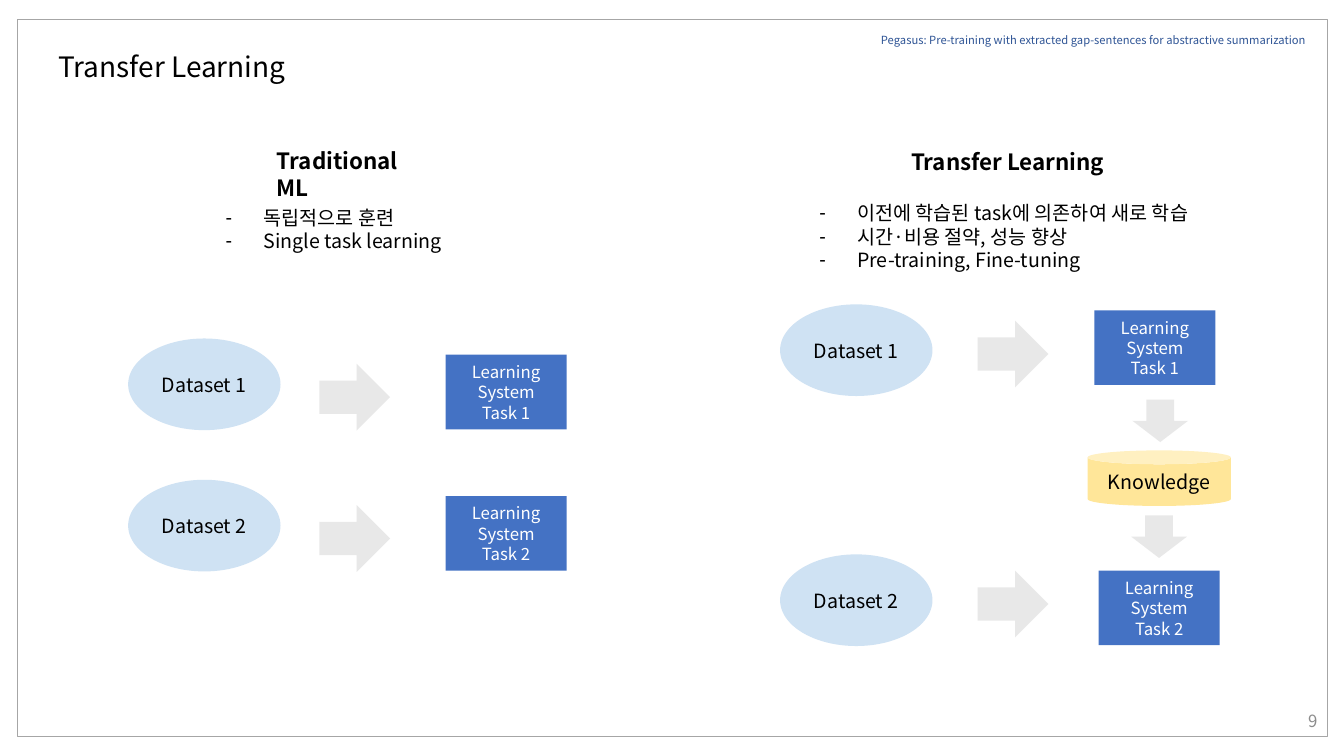
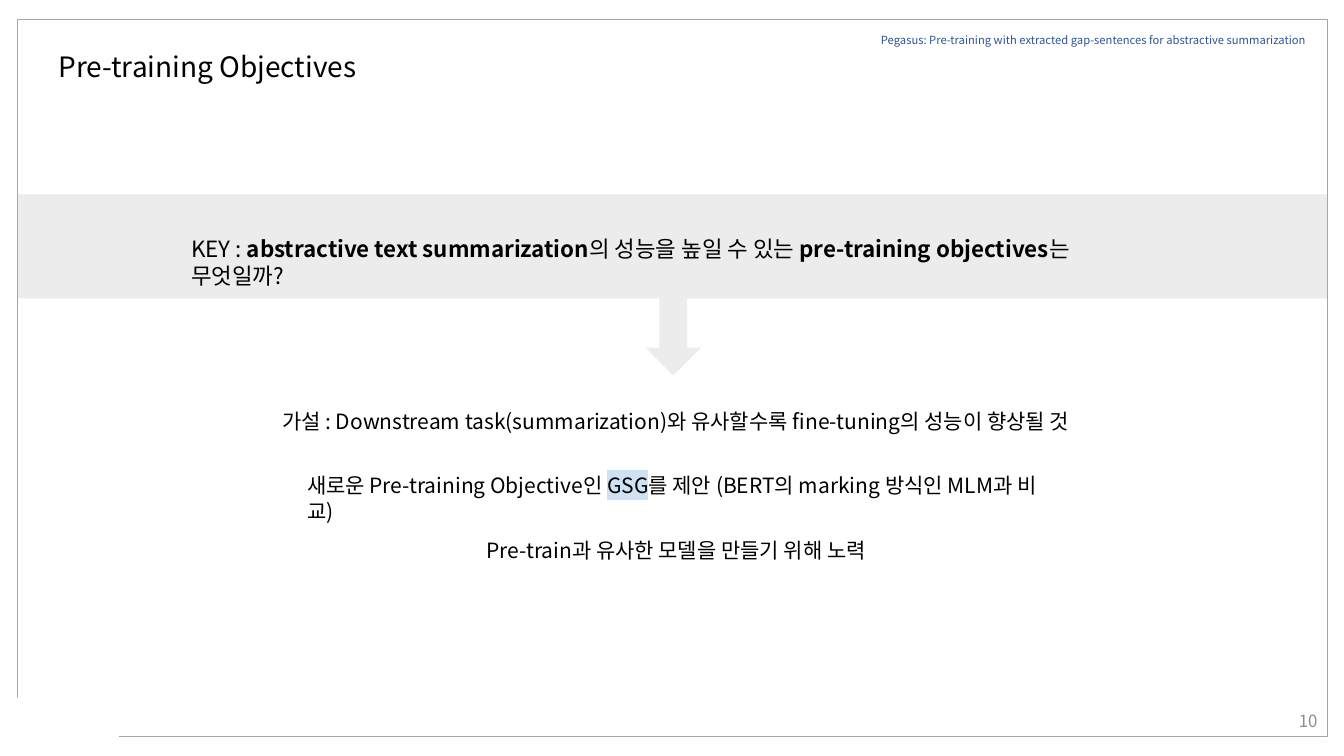
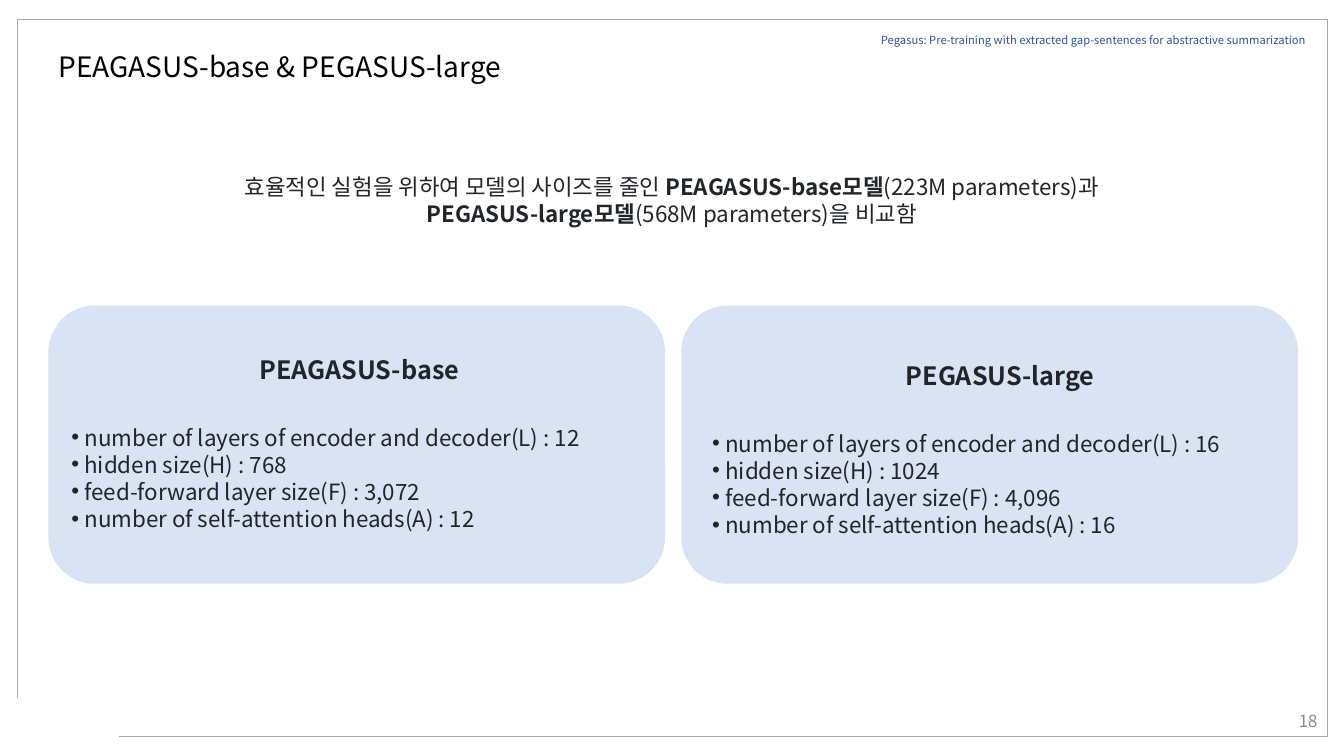
from lxml.etree import SubElement
from pptx import Presentation
from pptx.dml.color import RGBColor
from pptx.enum.shapes import MSO_SHAPE
from pptx.enum.text import MSO_ANCHOR, PP_ALIGN
from pptx.oxml.ns import qn
from pptx.util import Cm, Pt

FONT = "Noto Sans CJK KR"
LINE_HEIGHT = 1.21
BLACK = RGBColor(0x00, 0x00, 0x00)
WHITE = RGBColor(0xFF, 0xFF, 0xFF)
INK = RGBColor(0x21, 0x25, 0x29)
NAVY = RGBColor(0x2E, 0x54, 0x95)
FRAME_GRAY = RGBColor(0xA6, 0xA6, 0xA6)
PAGE_GRAY = RGBColor(0x8C, 0x8C, 0x8C)
ARROW_GRAY = RGBColor(0xD9, 0xD9, 0xD9)
BAND_GRAY = RGBColor(0xEC, 0xEC, 0xEC)
SKY = RGBColor(0xCF, 0xE2, 0xF3)
BLUE = RGBColor(0x44, 0x72, 0xC4)
YELLOW = RGBColor(0xFF, 0xE6, 0x99)
CARD_BLUE = RGBColor(0xDA, 0xE3, 0xF3)

BOLD = {"bold": True}
RUNNING_HEAD = "Pegasus: Pre-training with extracted gap-sentences for abstractive summarization"
FRAME = (0.43, 0.48, 33.02, 18.06)
CORNER_GAP = (0, 17.58, 3, 1.42)

APPROACHES = [
    ("Traditional ML", (6.73, 3.58, 4.42, 0.94), (5.44, 5.05, 6.99, 1.45),
     ["독립적으로 훈련", "Single task learning"]),
    ("Transfer Learning", (22.71, 3.61, 5.49, 0.94), (20.4, 4.93, 10.13, 2.06),
     ["이전에 학습된 task에 의존하여 새로 학습", "시간·비용 절약, 성능 향상",
      "Pre-training, Fine-tuning"]),
]
FLOWS = [
    (1, (3.23, 8.53), (8.05, 9.17), (11.23, 8.94)),
    (2, (3.23, 12.09), (8.05, 12.73), (11.23, 12.5)),
    (1, (19.66, 7.67), (24.64, 8.08), (27.58, 7.82)),
    (2, (19.66, 13.97), (24.64, 14.38), (27.69, 14.38)),
]
DATASET_SIZE, ARROW_SIZE, SYSTEM_SIZE = (3.84, 2.31), (1.78, 1.68), (3.05, 1.88)
KNOWLEDGE = (27.41, 11.35, 3.61, 1.4)
KNOWLEDGE_ARROWS = [(28.54, 10.07, 1.4, 1.07), (28.51, 12.99, 1.4, 1.07)]

KEY_BAND = (0.43, 4.9, 33.02, 2.62)
KEY_ARROW = (16.27, 7.43, 1.4, 2.03)
OBJECTIVES = [
    ((4.57, 5.79, 24.71, 0.94), 16,
     ["KEY : ", ("abstractive text summarization", BOLD), "의 성능을 높일 수 있는 ",
      ("pre-training objectives", BOLD), "는 무엇일까?"]),
    ((6.86, 10.16, 21.18, 0.89), 15,
     "가설 : Downstream task(summarization)와 유사할수록 fine-tuning의 성능이 향상될 것"),
    ((7.49, 11.79, 19.46, 0.89), 15,
     ["새로운 Pre-training Objective인 ", ("GSG", {"highlight": SKY}),
      "를 제안 (BERT의 marking 방식인 MLM과 비교)"]),
    ((12.01, 13.41, 10.26, 0.89), 15, "Pre-train과 유사한 모델을 만들기 위해 노력"),
]

COMPARISON = [
    "효율적인 실험을 위하여 모델의 사이즈를 줄인 ", ("PEAGASUS-base모델", BOLD),
    "(223M parameters)과 ", ("PEGASUS-large모델", BOLD), "(568M parameters)을 비교함",
]
MODEL_FIELDS = [
    "number of layers of encoder and decoder(L)", "hidden size(H)",
    "feed-forward layer size(F)", "number of self-attention heads(A)",
]
MODELS = [
    ("PEAGASUS-base", (1.22, 7.7, 15.54, 7.01), (1.55, 8.79, 15.01, 4.85),
     ["12", "768", "3,072", "12"]),
    ("PEGASUS-large", (17.17, 7.7, 15.54, 7.01), (17.7, 8.94, 15.01, 4.75),
     ["16", "1024", "4,096", "16"]),
]


def add_run(paragraph, text, size, color, bold=False, highlight=None):
    run = paragraph.add_run()
    run.text = text
    run.font.size = Pt(size)
    run.font.bold = bold
    run.font.color.rgb = color
    properties = run.font._element
    if highlight is not None:
        marker = SubElement(properties, qn("a:highlight"))
        SubElement(marker, qn("a:srgbClr"), val=str(highlight))
    run.font.name = FONT
    SubElement(properties, qn("a:ea"), typeface=FONT)


def write(holder, lines, size=14, color=BLACK, bold=False, align=PP_ALIGN.LEFT,
          bullet=None, hang=0, gap_before=0):
    frame = holder.text_frame
    for index, line in enumerate(lines):
        first = frame.paragraphs[0]
        paragraph = frame.add_paragraph() if first.runs else first
        paragraph.alignment = align
        paragraph.line_spacing = Pt(round(size * LINE_HEIGHT, 2))
        if index == 0 and gap_before:
            paragraph.space_before = Pt(gap_before)
        if bullet:
            properties = paragraph._p.get_or_add_pPr()
            properties.set("marL", str(Cm(hang)))
            properties.set("indent", str(-Cm(hang)))
            SubElement(properties, qn("a:buFont"), typeface="Arial")
            SubElement(properties, qn("a:buChar"), char=bullet)
        for part in [line] if isinstance(line, str) else line:
            text, changes = (part, {}) if isinstance(part, str) else part
            add_run(paragraph, text, **{"size": size, "color": color, "bold": bold, **changes})


def add_text(slide, box, lines, anchor=MSO_ANCHOR.TOP, **style):
    holder = slide.shapes.add_textbox(*map(Cm, box))
    holder.text_frame.word_wrap = True
    holder.text_frame.vertical_anchor = anchor
    write(holder, lines, **style)
    return holder


def add_block(slide, preset, box, fill=None, line=None, opacity=None, lines=(), **style):
    block = slide.shapes.add_shape(preset, *map(Cm, box))
    block.shadow.inherit = False
    if fill is None:
        block.fill.background()
    else:
        block.fill.solid()
        block.fill.fore_color.rgb = fill
        if opacity:
            tint = block._element.spPr.find(qn("a:solidFill"))[0]
            SubElement(tint, qn("a:alpha"), val=str(opacity * 1000))
    if line is None:
        block.line.fill.background()
    else:
        block.line.color.rgb = line
        block.line.width = Pt(0.25)
    block.text_frame.vertical_anchor = MSO_ANCHOR.MIDDLE
    write(block, lines, align=PP_ALIGN.CENTER, **style)


def add_page(deck, title, number, backdrop=(), corner_gap=True):
    slide = deck.slides.add_slide(deck.slide_layouts[6])
    for preset, box, fill in backdrop:
        add_block(slide, preset, box, fill)
    add_block(slide, MSO_SHAPE.RECTANGLE, FRAME, line=FRAME_GRAY)
    if corner_gap:
        add_block(slide, MSO_SHAPE.RECTANGLE, CORNER_GAP, WHITE)
    add_text(slide, (1.22, 1.12, 15, 1.12), [title], size=20)
    add_text(slide, (21.95, 0.71, 11.76, 0.61), [RUNNING_HEAD], size=8, color=NAVY)
    add_text(slide, (25.83, 17.65, 7.62, 1.02), [str(number)], anchor=MSO_ANCHOR.MIDDLE,
             size=12, color=PAGE_GRAY, align=PP_ALIGN.RIGHT)
    return slide


def build_transfer_learning(deck):
    slide = add_page(deck, "Transfer Learning", 9, corner_gap=False)
    for heading, heading_box, points_box, points in APPROACHES:
        add_text(slide, heading_box, [heading], size=16, bold=True)
        add_text(slide, points_box, points, bullet="-", hang=0.95)
    for task, dataset, arrow, system in FLOWS:
        add_block(slide, MSO_SHAPE.OVAL, dataset + DATASET_SIZE, SKY, lines=[f"Dataset {task}"])
        add_block(slide, MSO_SHAPE.RIGHT_ARROW, arrow + ARROW_SIZE, ARROW_GRAY, opacity=60)
        add_block(slide, MSO_SHAPE.RECTANGLE, system + SYSTEM_SIZE, BLUE,
                  lines=["Learning", "System", f"Task {task}"], size=12, color=WHITE)
    add_block(slide, MSO_SHAPE.CAN, KNOWLEDGE, YELLOW, lines=["Knowledge"])
    for box in KNOWLEDGE_ARROWS:
        add_block(slide, MSO_SHAPE.DOWN_ARROW, box, ARROW_GRAY, opacity=60)


def build_objectives(deck):
    band = (MSO_SHAPE.RECTANGLE, KEY_BAND, BAND_GRAY)
    slide = add_page(deck, "Pre-training Objectives", 10, [band])
    for box, size, statement in OBJECTIVES:
        add_text(slide, box, [statement], size=size)
    add_block(slide, MSO_SHAPE.DOWN_ARROW, KEY_ARROW, BAND_GRAY)


def build_models(deck):
    cards = [(MSO_SHAPE.ROUNDED_RECTANGLE, card, CARD_BLUE) for _, card, _, _ in MODELS]
    slide = add_page(deck, "PEAGASUS-base & PEGASUS-large", 18, cards)
    add_text(slide, (5.26, 4.22, 23.34, 1.63), [COMPARISON], size=16, color=INK,
             align=PP_ALIGN.CENTER)
    for model, _, box, values in MODELS:
        details = add_text(slide, box, [model], size=18, color=INK, bold=True,
                           align=PP_ALIGN.CENTER)
        facts = [f"{field} : {value}" for field, value in zip(MODEL_FIELDS, values)]
        write(details, facts, size=16, color=INK, bullet="•", hang=0.33, gap_before=28)


def main():
    deck = Presentation()
    deck.slide_width, deck.slide_height = Cm(33.87), Cm(19.05)
    build_transfer_learning(deck)
    build_objectives(deck)
    build_models(deck)
    deck.save("out.pptx")


if __name__ == "__main__":
    main()
